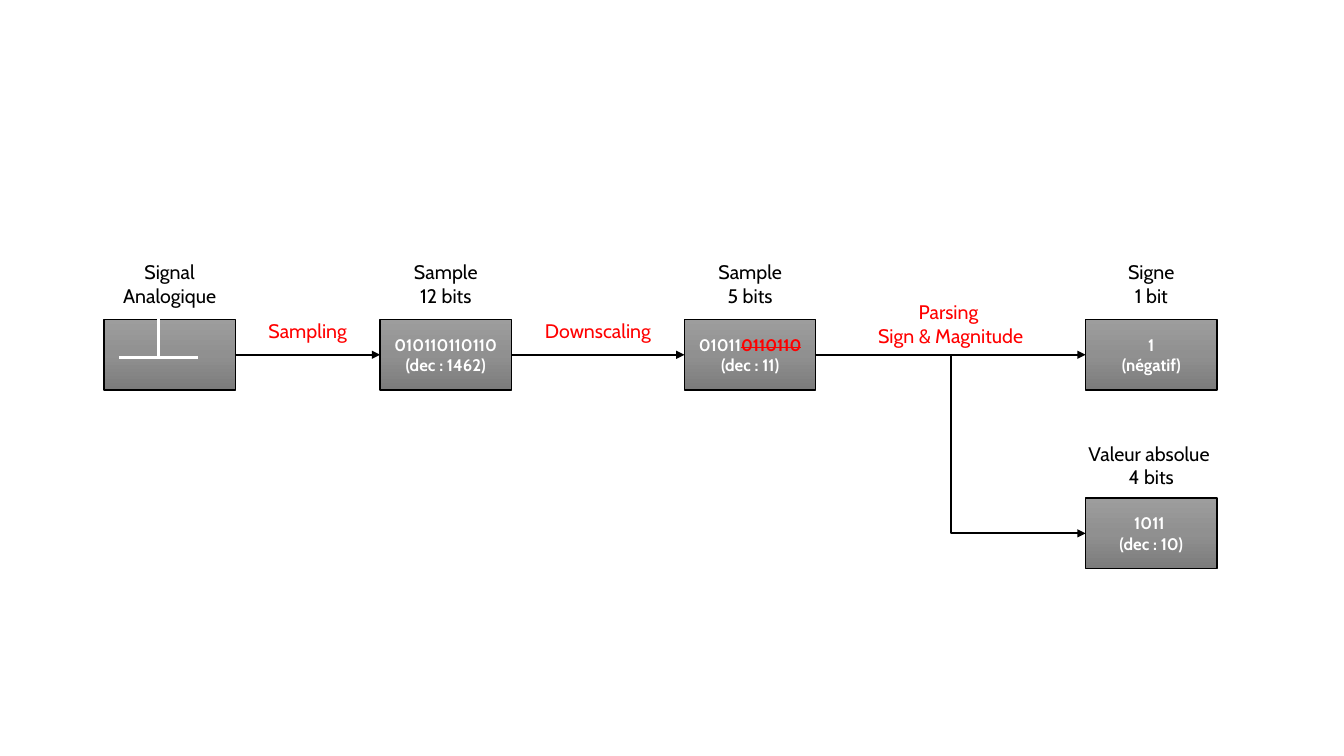
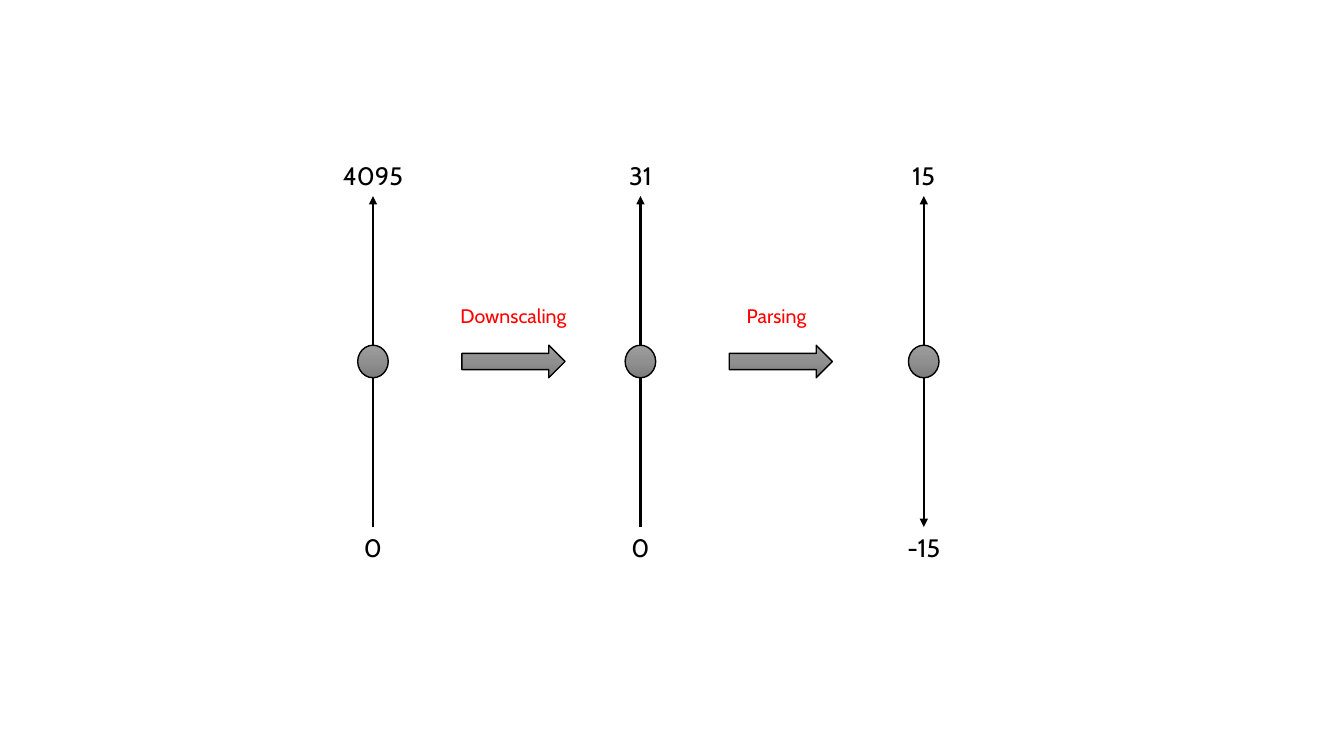
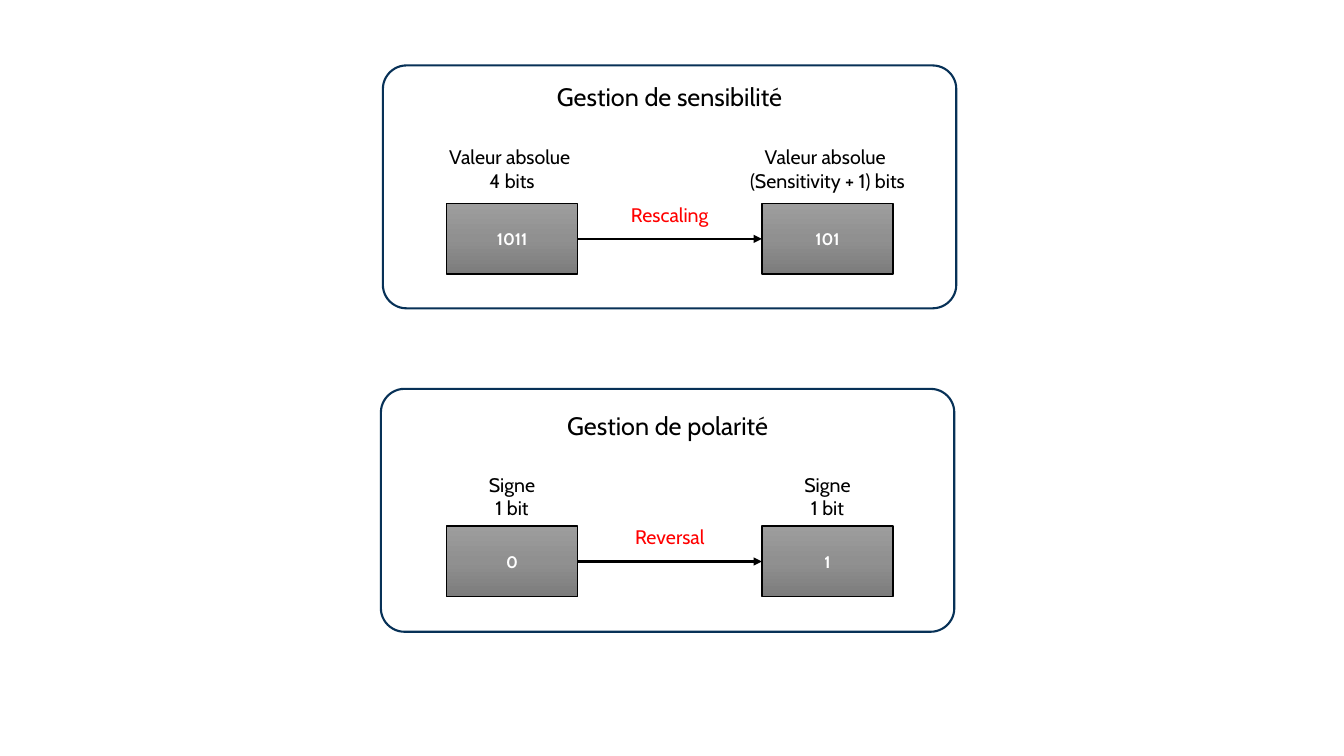
"""Build three slides on sampling, scaling and sign handling of a signal."""
from copy import deepcopy

from pptx import Presentation
from pptx.dml.color import RGBColor
from pptx.enum.shapes import MSO_CONNECTOR, MSO_SHAPE
from pptx.enum.text import MSO_ANCHOR, MSO_AUTO_SIZE, PP_ALIGN
from pptx.oxml.ns import qn
from pptx.oxml.xmlchemy import OxmlElement
from pptx.util import Cm, Pt

STRAIGHT, ELBOW = MSO_CONNECTOR.STRAIGHT, MSO_CONNECTOR.ELBOW
RECTANGLE, ELLIPSE = MSO_SHAPE.RECTANGLE, MSO_SHAPE.OVAL
ARROW, ROUNDED = MSO_SHAPE.RIGHT_ARROW, MSO_SHAPE.ROUNDED_RECTANGLE
CENTER, MIDDLE = PP_ALIGN.CENTER, MSO_ANCHOR.MIDDLE
GROW = MSO_AUTO_SIZE.SHAPE_TO_FIT_TEXT
TOP, LEFT, BOTTOM, RIGHT = range(4)

COLORS = {
    "black": "000000",
    "white": "FFFFFF",
    "red": "FF0000",
    "navy": "073157",
    "grey_light": "9D9D9D",
    "grey": "909090",
    "grey_dark": "7C7C7C",
}
GRADIENT = ((0, "grey_light"), (0.5, "grey"), (1, "grey_dark"))
FONT = "Cabin"
BOX_WIDTH, BOX_HEIGHT = 3.31, 1.78
LABEL_WIDTH = 5.36
LABEL_GAP = 1.04


def color(name):
    return RGBColor.from_string(COLORS[name])


def bezier(start, control_1, control_2, end, steps=12):
    points = []
    for step in range(1, steps + 1):
        t = step / steps
        weights = ((1 - t) ** 3, 3 * t * (1 - t) ** 2, 3 * t * t * (1 - t), t ** 3)
        corners = (start, control_1, control_2, end)
        points.append(tuple(
            sum(weight * corner[axis] for weight, corner in zip(weights, corners))
            for axis in (0, 1)
        ))
    return points


class Deck:
    def __init__(self):
        self.presentation = Presentation()
        self.presentation.slide_width = Cm(33.87)
        self.presentation.slide_height = Cm(19.05)
        self.slide = None

    def add_slide(self):
        self.slide = self.presentation.slides.add_slide(self.presentation.slide_layouts[6])

    def set_text(self, frame, text, size, color_name, bold=False):
        frame.text = text
        for paragraph in frame.paragraphs:
            paragraph.alignment = CENTER
            for run in paragraph.runs:
                self.style(run, size, color_name, bold)

    def style(self, run, size, color_name, bold):
        run.font.name = FONT
        run.font.size = Pt(size)
        run.font.bold = bold
        run.font.color.rgb = color(color_name)

    def outline(self, shape, color_name, width):
        shape.shadow.inherit = False
        shape.line.color.rgb = color(color_name)
        shape.line.width = Pt(width)

    def shade(self, shape):
        shape.fill.gradient()
        shape.fill.gradient_angle = 270
        stop_list = shape._element.spPr.find(qn("a:gradFill")).find(qn("a:gsLst"))
        stop_list.insert(1, deepcopy(stop_list[0]))
        for stop, (position, name) in zip(shape.fill.gradient_stops, GRADIENT):
            stop.position = position
            stop.color.rgb = color(name)

    def solid(self, kind, left, top, width, height):
        shape = self.slide.shapes.add_shape(kind, Cm(left), Cm(top), Cm(width), Cm(height))
        self.outline(shape, "black", 1)
        self.shade(shape)
        return shape

    def text(self, center, top, text, size=14, color_name="black", width=LABEL_WIDTH):
        lines = text.count("\n") + 1
        height = 1.02 if size == 18 else 0.27 + 0.59 * lines
        shape = self.slide.shapes.add_textbox(
            Cm(center - width / 2), Cm(top), Cm(width), Cm(height))
        shape.text_frame.word_wrap = True
        shape.text_frame.auto_size = GROW
        self.set_text(shape.text_frame, text, size, color_name)
        return shape

    def box(self, left, top, text, caption, caption_top, struck=""):
        shape = self.solid(RECTANGLE, left, top, BOX_WIDTH, BOX_HEIGHT)
        frame = shape.text_frame
        frame.vertical_anchor = MIDDLE
        if text:
            self.set_text(frame, text, 12, "white", True)
        if struck:
            run = frame.paragraphs[0].add_run()
            run.text = struck
            self.style(run, 12, "red", True)
            run._r.get_or_add_rPr().set("strike", "sngStrike")
        self.text(left + BOX_WIDTH / 2, caption_top, caption)
        return shape

    def curve(self, start, segments):
        points = []
        for control_1, control_2, end in segments:
            points += bezier(points[-1] if points else start, control_1, control_2, end)
        builder = self.slide.shapes.build_freeform(*start, scale=Cm(1))
        builder.add_line_segments(points, close=False)
        shape = builder.convert_to_shape()
        self.outline(shape, "white", 2.25)
        self.shade(shape)

    def connector(self, start=(0, 0), end=(0, 0), kind=STRAIGHT, begin_at=None, end_at=None):
        line = self.slide.shapes.add_connector(kind, *(Cm(value) for value in (*start, *end)))
        if begin_at:
            line.begin_connect(*begin_at)
        if end_at:
            line.end_connect(*end_at)
        line.line.color.rgb = color("black")
        line.line.width = Pt(1.5)
        head = OxmlElement("a:tailEnd")
        head.set("type", "triangle")
        properties = line._element.spPr
        properties.find(qn("a:ln")).append(head)
        properties.append(OxmlElement("a:effectLst"))

    def link(self, source, target, label="", gap=LABEL_GAP, kind=STRAIGHT):
        self.connector(kind=kind, begin_at=(source, RIGHT), end_at=(target, LEFT))
        if label:
            center = (source.left + source.width + target.left) / 2 / Cm(1)
            middle = (source.top + source.height / 2) / Cm(1)
            self.text(center, middle - gap, label, color_name="red")

    def panel(self, left, top, title, title_gap):
        width, height = 14.45, 6.12
        shape = self.slide.shapes.add_shape(ROUNDED, Cm(left), Cm(top), Cm(width), Cm(height))
        shape.adjustments[0] = 0.097
        shape.fill.background()
        self.outline(shape, "navy", 1.5)
        self.text(left + width / 2, top + title_gap, title, size=18, width=7.26)


def conversion_slide(deck):
    deck.add_slide()
    row, caption_top = 8.05, 6.43
    signal = deck.box(2.62, row, "", "Signal\nAnalogique", caption_top)
    deck.curve((3.3, 9.2), (
        ((3.33, 9.14), (3.35, 9.09), (3.45, 8.99)),
        ((3.56, 8.86), (3.66, 8.46), (3.86, 8.48)),
        ((4.06, 8.48), (4.37, 8.92), (4.62, 9.04)),
        ((4.88, 9.14), (5.11, 9.14), (5.33, 9.14)),
    ))
    sample = deck.box(9.58, row, "010110110110\n(dec : 1462)", "Sample\n12 bits", caption_top)
    scaled = deck.box(17.25, row, "01011\n(dec : 11)", "Sample\n5 bits", caption_top, "0110110")
    sign = deck.box(27.36, row, "1\n(négatif)", "Signe\n1 bit", caption_top)
    magnitude = deck.box(27.36, 12.55, "1011 \n(dec : 10)", "Valeur absolue \n4 bits", 11)
    deck.link(signal, sample, "Sampling")
    deck.link(sample, scaled, "Downscaling")
    deck.link(scaled, sign, "Parsing \nSign & Magnitude", gap=1.5)
    deck.link(scaled, magnitude, kind=ELBOW)


def range_slide(deck):
    deck.add_slide()
    circle_width, circle_height, middle = 0.77, 0.82, 9.11
    circle_top = middle - circle_height / 2
    axes = ((9.4, "4095", "0"), (16.14, "31", "0"), (23.28, "15", "-15"))
    for center, highest, lowest in axes:
        upper = deck.text(center, 3.92, highest, size=18, width=2.92)
        lower = deck.text(center, 13.28, lowest, size=18, width=2.92)
        if lowest == "0":
            deck.connector(begin_at=(lower, TOP), end_at=(upper, BOTTOM))
        else:
            deck.connector(start=(center, circle_top), end_at=(upper, BOTTOM))
            deck.connector(start=(center, circle_top + circle_height), end_at=(lower, TOP))
        deck.solid(ELLIPSE, center - circle_width / 2, circle_top, circle_width, circle_height)
    for left, label_center, label in ((11.64, 12.94, "Downscaling"), (18.38, 19.57, "Parsing")):
        deck.solid(ARROW, left, circle_top, 2.6, circle_height)
        deck.text(label_center, 7.54, label, color_name="red")


def settings_slide(deck):
    deck.add_slide()
    deck.panel(9.65, 1.65, "Gestion de sensibilité", 0.28)
    deck.panel(9.6, 9.8, "Gestion de polarité", 0.41)
    rows = (
        (5.13, 3.53, "Rescaling", ("1011", "Valeur absolue \n4 bits"),
         ("101", "Valeur absolue \n(Sensitivity + 1) bits")),
        (13.26, 11.79, "Reversal", ("0", "Signe\n1 bit"), ("1", "Signe\n1 bit")),
    )
    for top, caption_top, label, before, after in rows:
        source = deck.box(11.25, top, *before, caption_top)
        target = deck.box(19.2, top, *after, caption_top)
        deck.link(source, target, label)


def main():
    deck = Deck()
    conversion_slide(deck)
    range_slide(deck)
    settings_slide(deck)
    deck.presentation.save("out.pptx")


if __name__ == "__main__":
    main()
